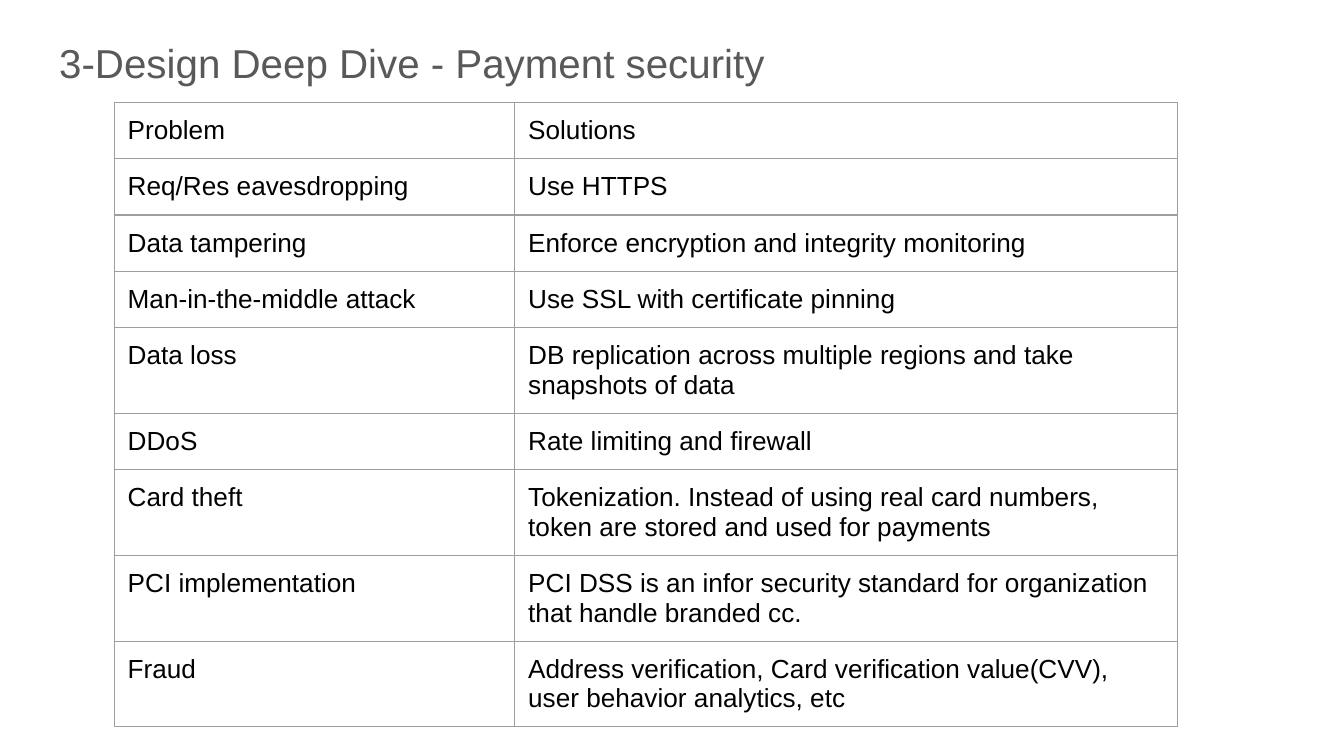
"""Build the payment security slide: a title above a table of problems and solutions."""
from lxml.etree import SubElement
from pptx import Presentation
from pptx.dml.color import RGBColor
from pptx.enum.text import MSO_ANCHOR, MSO_AUTO_SIZE, PP_ALIGN
from pptx.oxml.ns import qn
from pptx.util import Inches, Pt

TITLE = "3-Design Deep Dive - Payment security"
ROWS = [
    ("Problem", "Solutions"),
    ("Req/Res eavesdropping", "Use HTTPS"),
    ("Data tampering", "Enforce encryption and integrity monitoring"),
    ("Man-in-the-middle attack", "Use SSL with certificate pinning"),
    ("Data loss", "DB replication across multiple regions and take snapshots of data"),
    ("DDoS", "Rate limiting and firewall"),
    ("Card theft", "Tokenization. Instead of using real card numbers, "
                   "token are stored and used for payments"),
    ("PCI implementation", "PCI DSS is an infor security standard for organization "
                           "that handle branded cc."),
    ("Fraud", "Address verification, Card verification value(CVV), "
              "user behavior analytics, etc"),
]
COLORS = {"title": "595959", "text": "000000", "border": "9E9E9E"}
FONT = "Arial"
SLIDE_W = 10
SLIDE_H = SLIDE_W * 9 / 16
TITLE_BOX = (0.34, 0.13, 9.32, 0.63)
TABLE_LEFT, TABLE_TOP = 0.85, 0.76
COL_WIDTHS = (2.98, 4.93)
ROW_H = 0.42
INSET = Inches(0.1)


def write(tf, text, size, color, spacing=1.0):
    tf.word_wrap = True
    p = tf.paragraphs[0]
    p.alignment = PP_ALIGN.LEFT
    p.line_spacing = spacing
    r = p.add_run()
    r.text = text
    r.font.name = FONT
    r.font.size = Pt(size)
    r.font.color.rgb = RGBColor.from_string(COLORS[color])


def set_insets(box):
    box.margin_left = box.margin_right = box.margin_top = box.margin_bottom = INSET


def add_borders(cell, width=0.75):
    tc_pr = cell._tc.get_or_add_tcPr()
    for side in ("a:lnL", "a:lnR", "a:lnT", "a:lnB"):
        ln = SubElement(tc_pr, qn(side), w=str(Pt(width)))
        fill = SubElement(ln, qn("a:solidFill"))
        SubElement(fill, qn("a:srgbClr"), val=COLORS["border"])


prs = Presentation()
prs.slide_width, prs.slide_height = Inches(SLIDE_W), Inches(SLIDE_H)
s = prs.slides.add_slide(prs.slide_layouts[5])

title = s.shapes.title
title.left, title.top, title.width, title.height = map(Inches, TITLE_BOX)
tf = title.text_frame
tf.auto_size = MSO_AUTO_SIZE.NONE
tf.vertical_anchor = MSO_ANCHOR.TOP
set_insets(tf)
write(tf, TITLE, size=21.6, color="title", spacing=1.15)

table = s.shapes.add_table(
    len(ROWS), len(COL_WIDTHS), Inches(TABLE_LEFT), Inches(TABLE_TOP),
    Inches(sum(COL_WIDTHS)), Inches(ROW_H * len(ROWS))).table
table.first_row = table.horz_banding = False
for column, width in zip(table.columns, COL_WIDTHS):
    column.width = Inches(width)
for row, texts in zip(table.rows, ROWS):
    row.height = Inches(ROW_H)
    for cell, text in zip(row.cells, texts):
        set_insets(cell)
        add_borders(cell)
        cell.fill.background()
        write(cell.text_frame, text, size=14, color="text")

prs.save("out.pptx")
